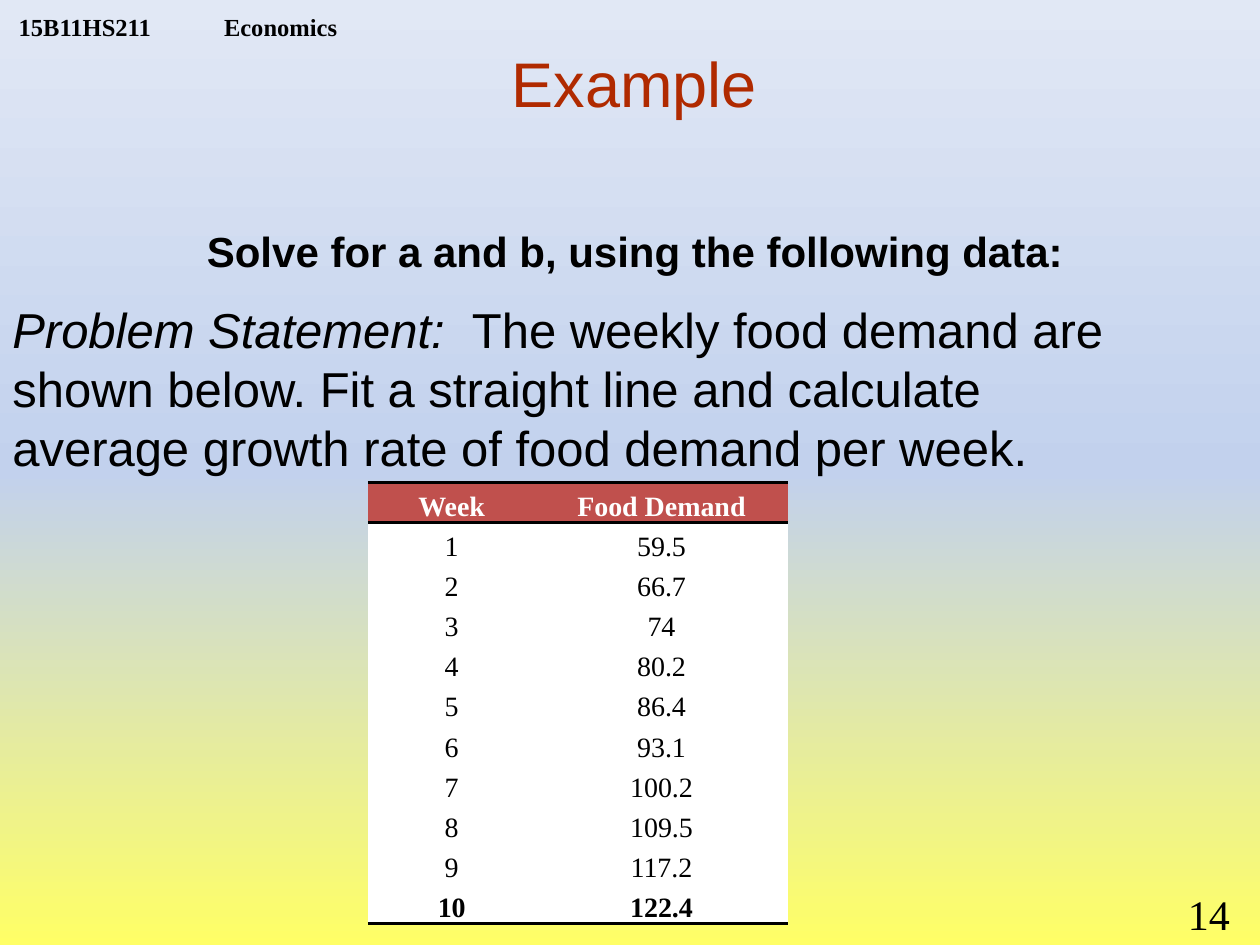
import copy

import pptx
import pptx.chart.data
import pptx.dml.color
import pptx.enum.text
import pptx.oxml
import pptx.oxml.ns
import pptx.util

WIDTH, HEIGHT = 10, 7.5
SERIF, SANS = "Times New Roman", "Arial"
ALIGN = pptx.enum.text.PP_ALIGN
ANCHOR = pptx.enum.text.MSO_ANCHOR
COLORS = {
    "yellow": "FFFF66", "blue": "C2D1ED", "pale": "E1E8F5",
    "title": "B02A00", "header": "C0504D", "black": "000000", "white": "FFFFFF",
}
DEMAND = ["59.5", "66.7", "74", "80.2", "86.4", "93.1", "100.2", "109.5", "117.2", "122.4"]


def rgb(name):
    return pptx.dml.color.RGBColor.from_string(COLORS[name])


def inches(*lengths):
    return [pptx.util.Inches(length) for length in lengths]


def write(frame, *parts, font=SANS, size=24, color="black", bold=False, italic=(),
          align=ALIGN.LEFT, tab=None):
    """Write parts as runs of one paragraph; italic holds the indexes of italic parts."""
    paragraph = frame.paragraphs[0]
    paragraph.alignment = align
    if tab is not None:
        tabs = pptx.oxml.parse_xml(
            f'<a:tabLst {pptx.oxml.ns.nsdecls("a")}>'
            f'<a:tab pos="{pptx.util.Inches(tab)}" algn="l"/></a:tabLst>')
        paragraph._p.get_or_add_pPr().append(tabs)
    for index, text in enumerate(parts):
        run = paragraph.add_run()
        run.text = text
        run.font.name = font
        run.font.size = pptx.util.Pt(size)
        run.font.bold = bold
        run.font.italic = index in italic
        run.font.color.rgb = rgb(color)


def add_text(slide, box, *parts, anchor=ANCHOR.TOP, margin=0.05, **text_format):
    frame = slide.shapes.add_textbox(*inches(*box)).text_frame
    frame.word_wrap = True
    frame.vertical_anchor = anchor
    frame.margin_top = frame.margin_bottom = pptx.util.Inches(margin)
    write(frame, *parts, **text_format)


def set_background(slide):
    fill = slide.background.fill
    fill.gradient()
    fill.gradient_angle = 90
    stop_list = slide.element.xpath(".//p:bg//a:gsLst")[0]
    stop_list.insert(1, copy.deepcopy(stop_list[0]))
    for index, name in enumerate(("yellow", "blue", "pale")):
        stop = fill.gradient_stops[index]
        stop.position = index / 2
        stop.color.rgb = rgb(name)


def set_title(slide, text):
    title = slide.shapes.title
    title.left, title.top, title.width, title.height = inches(1.79, 0, 6.49, 1.3)
    title.text_frame.vertical_anchor = ANCHOR.MIDDLE
    write(title.text_frame, text, size=36, color="title", align=ALIGN.CENTER)


def set_borders(cell, ruled_sides):
    """Rule the named sides in black and leave the others without a line."""
    properties = cell._tc.get_or_add_tcPr()
    for index, side in enumerate(("L", "R", "T", "B")):
        if side in ruled_sides:
            paint = f'<a:solidFill><a:srgbClr val="{COLORS["black"]}"/></a:solidFill>'
        else:
            paint = "<a:noFill/>"
        line = pptx.oxml.parse_xml(
            f'<a:ln{side} {pptx.oxml.ns.nsdecls("a")} w="{pptx.util.Pt(2)}">'
            f"{paint}</a:ln{side}>")
        properties.insert(index, line)


def add_demand_table(slide):
    rows = [("Week", "Food Demand")]
    rows += [(str(week), demand) for week, demand in enumerate(DEMAND, 1)]
    last = len(rows) - 1
    table = slide.shapes.add_table(len(rows), 2, *inches(2.92, 3.83, 3.33, 3.5)).table
    table.columns[0].width, table.columns[1].width = inches(1.33, 2)
    for row_index, values in enumerate(rows):
        header = row_index == 0
        sides = {0: "TB", 1: "T", last: "B"}.get(row_index, "")
        for column_index, value in enumerate(values):
            cell = table.cell(row_index, column_index)
            cell.margin_left, cell.margin_right, cell.margin_top, cell.margin_bottom = inches(
                0.01, 0.01, 0.01, 0)
            cell.vertical_anchor = ANCHOR.BOTTOM
            cell.fill.solid()
            cell.fill.fore_color.rgb = rgb("header" if header else "white")
            set_borders(cell, sides)
            write(cell.text_frame, value, font=SERIF, size=16, align=ALIGN.CENTER,
                  color="white" if header else "black", bold=row_index in (0, last))


def main():
    presentation = pptx.Presentation()
    presentation.slide_width, presentation.slide_height = inches(WIDTH, HEIGHT)
    slide = presentation.slides.add_slide(presentation.slide_layouts.get_by_name("Title Only"))
    set_background(slide)

    # Course header and page number
    add_text(slide, (0.05, 0, 3.2, 0.33), "15B11HS211\tEconomics", font=SERIF, size=14,
             bold=True, anchor=ANCHOR.BOTTOM, margin=0, tab=1.63)
    add_text(slide, (9.33, 7, 0.67, 0.5), "14", font=SERIF)

    # Title, problem and task
    set_title(slide, "Example")
    add_text(slide, (0, 2.33, 9, 3.39), "Problem Statement:  ",
             "The weekly food demand are shown below. Fit a straight line and calculate "
             "average growth rate of food demand per week.", size=28, italic=(0,))
    add_text(slide, (0.33, 1.74, 9.42, 0.5), "Solve for a and b, using the following data:",
             bold=True, align=ALIGN.CENTER)

    # Weekly data
    add_demand_table(slide)
    presentation.save("out.pptx")


if __name__ == "__main__":
    main()
